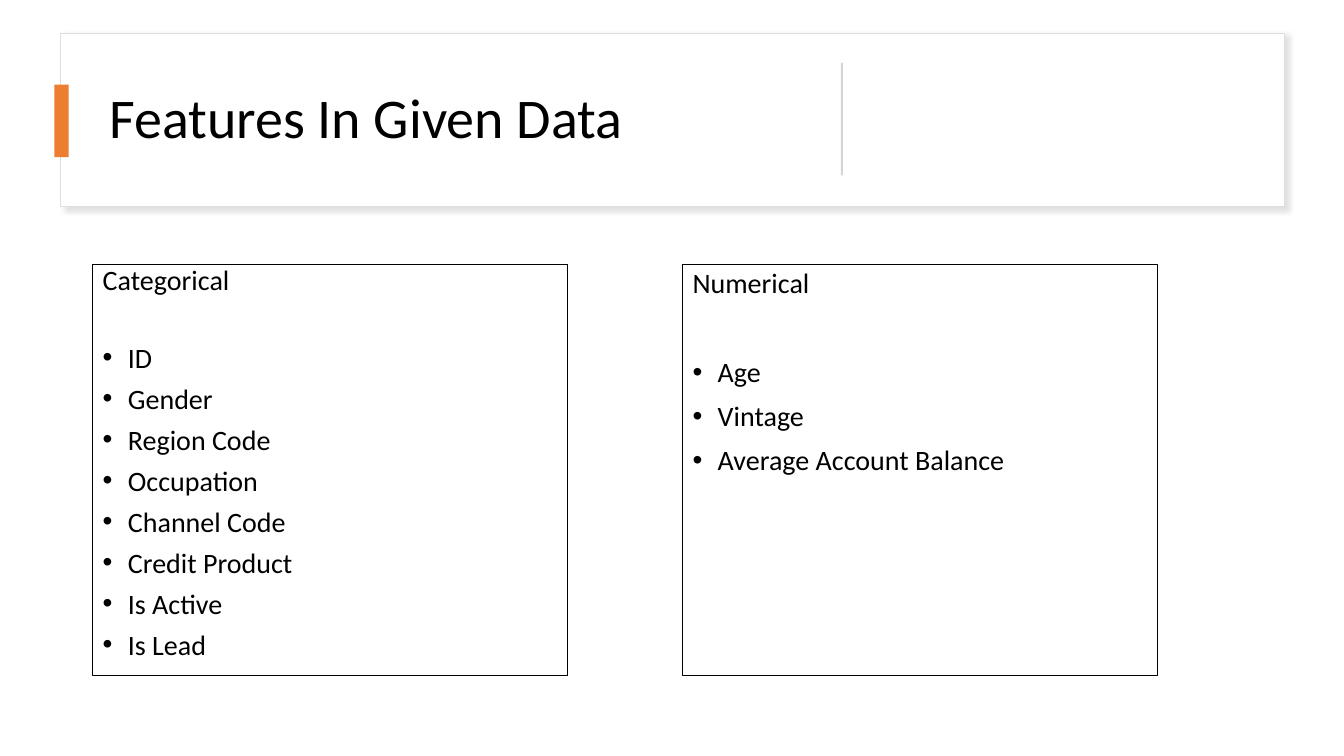
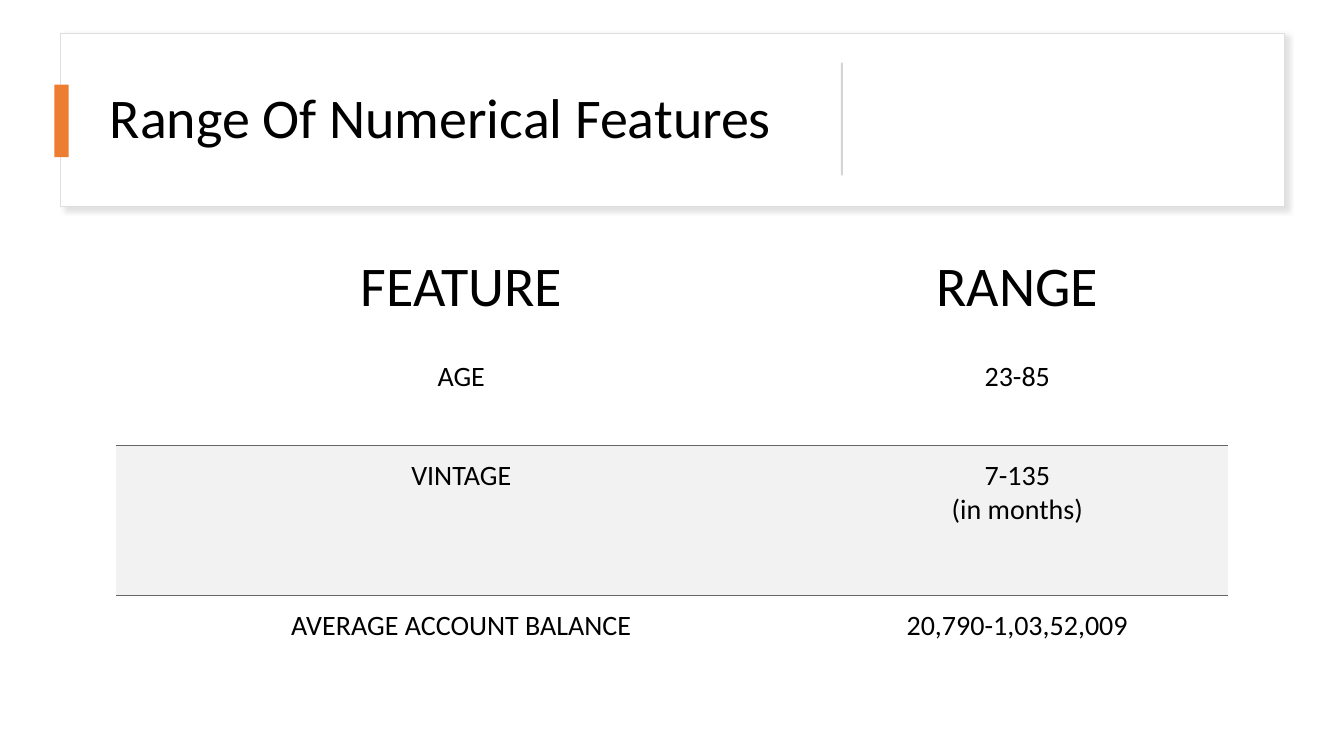
from dataclasses import dataclass

from pptx import Presentation
from pptx.dml.color import RGBColor
from pptx.enum.shapes import MSO_SHAPE
from pptx.enum.text import MSO_ANCHOR, PP_ALIGN
from pptx.oxml import parse_xml
from pptx.oxml.ns import nsdecls, qn
from pptx.util import Inches, Pt

RECTANGLE = MSO_SHAPE.RECTANGLE
TOP, MIDDLE, BOTTOM = MSO_ANCHOR.TOP, MSO_ANCHOR.MIDDLE, MSO_ANCHOR.BOTTOM
LEFT, CENTER = PP_ALIGN.LEFT, PP_ALIGN.CENTER
PLAIN_TABLE_STYLE = "{2D5ABB26-0587-4C30-8999-92F81FD0307C}"


@dataclass(frozen=True)
class Theme:
    font: str = "Calibri"
    title_size: int = 40
    body_size: int = 20
    text: str = "000000"
    paper: str = "FFFFFF"
    accent: str = "ED7D31"
    frame: str = "DEDEDE"
    divider: str = "D5D5D5"
    shadow: str = "C5C3C3"
    band: str = "F2F2F2"
    rule: str = "666666"


THEME = Theme()

# Box of each region: left, top, width, height in inches
HEADER_BOX = (0.6, 0.33, 12.14, 1.72)
LIST_BOXES = ((0.92, 2.62, 4.71, 4.08), (6.77, 2.62, 4.71, 4.08))
TABLE_BOX = (1.15, 2.29, 11.03, 4.6)

# Heading, items, line spacing, space between heading and items in points
FEATURE_LISTS = (
    ("Categorical",
     ("ID", "Gender", "Region Code", "Occupation", "Channel Code",
      "Credit Product", "Is Active", "Is Lead"), 0.8, 36.6),
    ("Numerical", ("Age", "Vintage", "Average Account Balance"), 0.9, 42),
)

RANGE_ROWS = (
    ("FEATURE", "RANGE"),
    ("AGE", "23-85"),
    ("VINTAGE", "7-135\n(in months)"),
    ("AVERAGE ACCOUNT BALANCE", "20,790-1,03,52,009"),
)
COLUMN_WIDTHS = (6.85, 4.18)
ROW_HEIGHTS = (1.15, 0.98, 1.49, 0.98)
BANDED_ROW = 2
CELL_FORMAT = {
    "margin_left": Inches(0.13), "margin_top": Inches(0.13),
    "margin_right": Inches(0.13), "margin_bottom": Inches(0.25),
}


def apply_format(target, values):
    for name, value in values.items():
        setattr(target, name, value)


def style_paragraph(paragraph, size, **values):
    apply_format(paragraph, values)
    apply_format(paragraph.font, {"name": THEME.font, "size": Pt(size)})
    paragraph.font.color.rgb = RGBColor.from_string(THEME.text)


def add_rectangle(slide, box, fill=None, line=None, line_width=1):
    shape = slide.shapes.add_shape(RECTANGLE, *map(Inches, box))
    shape.shadow.inherit = False
    if fill:
        shape.fill.solid()
        shape.fill.fore_color.rgb = RGBColor.from_string(fill)
    else:
        shape.fill.background()
    if line:
        shape.line.color.rgb = RGBColor.from_string(line)
        shape.line.width = Pt(line_width)
    else:
        shape.line.fill.background()
    return shape


def add_soft_shadow(shape):
    effects = shape.element.spPr.find(qn("a:effectLst"))
    effects.append(parse_xml(
        f'<a:outerShdw {nsdecls("a")} blurRad="{Pt(4)}" dist="{Pt(3)}" '
        f'dir="2700000" algn="tl" rotWithShape="0">'
        f'<a:srgbClr val="{THEME.shadow}"><a:alpha val="50000"/></a:srgbClr>'
        f'</a:outerShdw>'))


def add_bullet(paragraph):
    properties = paragraph._p.get_or_add_pPr()
    properties.set("marL", str(Inches(0.25)))
    properties.set("indent", str(Inches(-0.25)))
    properties.append(parse_xml(
        f'<a:buFont {nsdecls("a")} typeface="Arial"/>'))
    properties.append(parse_xml(f'<a:buChar {nsdecls("a")} char="•"/>'))


def add_cell_border(cell, side):
    cell._tc.get_or_add_tcPr().insert(0, parse_xml(
        f'<a:{side} {nsdecls("a")} w="{Pt(1)}"><a:solidFill>'
        f'<a:srgbClr val="{THEME.rule}"/></a:solidFill></a:{side}>'))


def add_header(slide, box, title):
    left, top, width, height = box
    add_soft_shadow(add_rectangle(slide, box, THEME.paper, THEME.frame))

    # Title
    title_box = slide.shapes.add_textbox(
        Inches(left + 0.39), Inches(top + 0.11), Inches(7.03), Inches(1.5))
    frame = title_box.text_frame
    apply_format(frame, {"word_wrap": True, "vertical_anchor": MIDDLE})
    frame.text = title
    style_paragraph(frame.paragraphs[0], THEME.title_size, line_spacing=0.9)

    # Accent tab and divider
    add_rectangle(slide, (left - 0.06, top + 0.51, 0.14, 0.72), THEME.accent)
    add_rectangle(slide, (left + 7.74, top + 0.29, 0.02, 1.12), THEME.divider)


def add_feature_list(slide, box, heading, items, line_spacing, heading_gap):
    shape = add_rectangle(slide, box, line=THEME.text, line_width=0.75)
    frame = shape.text_frame
    apply_format(frame, {"word_wrap": True, "vertical_anchor": TOP})
    frame.text = "\n".join((heading, *items))
    for index, paragraph in enumerate(frame.paragraphs):
        gap = heading_gap if index == 1 else 10
        style_paragraph(paragraph, THEME.body_size, alignment=LEFT,
                        line_spacing=line_spacing, space_before=Pt(gap))
        if index:
            add_bullet(paragraph)


def add_range_table(slide, box):
    graphic = slide.shapes.add_table(
        len(RANGE_ROWS), len(COLUMN_WIDTHS), *map(Inches, box))
    table = graphic.table
    apply_format(table, {"first_row": False, "horz_banding": False})
    for style in graphic.element.iter(qn("a:tableStyleId")):
        style.text = PLAIN_TABLE_STYLE
    for column, width in zip(table.columns, COLUMN_WIDTHS):
        column.width = Inches(width)

    for row_index, (row, texts) in enumerate(zip(table.rows, RANGE_ROWS)):
        row.height = Inches(ROW_HEIGHTS[row_index])
        is_heading = row_index == 0
        size = THEME.title_size if is_heading else THEME.body_size
        for cell, text in zip(row.cells, texts):
            apply_format(cell, CELL_FORMAT)
            cell.vertical_anchor = BOTTOM if is_heading else TOP
            cell.text = text
            for paragraph in cell.text_frame.paragraphs:
                style_paragraph(paragraph, size, alignment=CENTER)
            if row_index == BANDED_ROW:
                cell.fill.solid()
                cell.fill.fore_color.rgb = RGBColor.from_string(THEME.band)
                add_cell_border(cell, "lnT")
            else:
                cell.fill.background()
            if row_index == BANDED_ROW - 1:
                add_cell_border(cell, "lnB")


def add_titled_slide(presentation, title):
    slide = presentation.slides.add_slide(presentation.slide_layouts[6])
    add_header(slide, HEADER_BOX, title)
    return slide


def main():
    presentation = Presentation()
    presentation.slide_width = Inches(13.33)
    presentation.slide_height = Inches(7.5)

    features_slide = add_titled_slide(presentation, "Features In Given Data")
    for box, feature_list in zip(LIST_BOXES, FEATURE_LISTS):
        add_feature_list(features_slide, box, *feature_list)

    range_slide = add_titled_slide(presentation, "Range Of Numerical Features")
    add_range_table(range_slide, TABLE_BOX)

    presentation.save("out.pptx")


if __name__ == "__main__":
    main()
